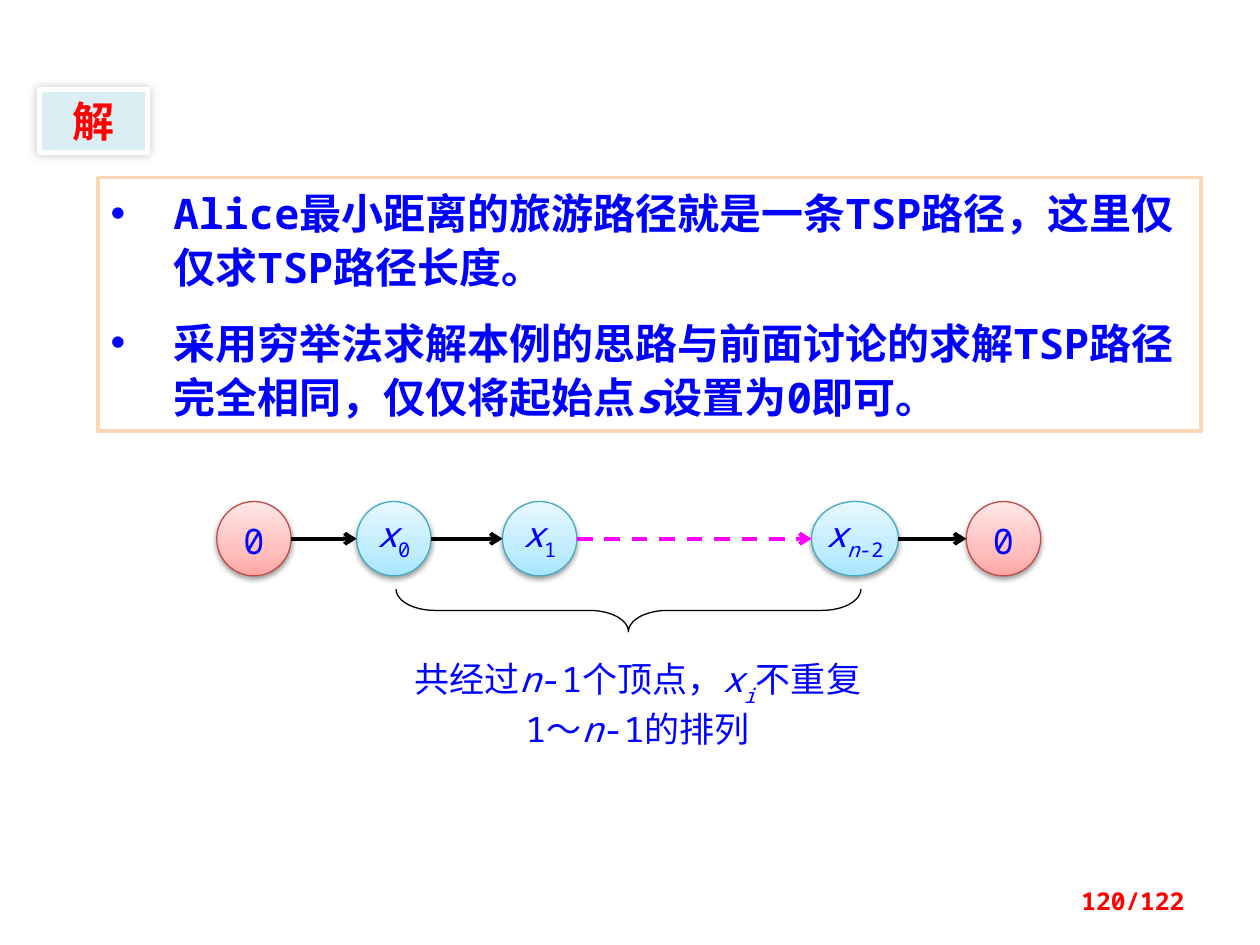
from copy import deepcopy

from lxml.etree import SubElement
from pptx import Presentation
from pptx.dml.color import RGBColor
from pptx.enum.dml import MSO_LINE
from pptx.enum.shapes import MSO_CONNECTOR, MSO_SHAPE
from pptx.enum.text import MSO_ANCHOR, PP_ALIGN
from pptx.oxml.ns import qn
from pptx.util import Cm, Pt

# Content: a run is (text, style), where "i" is italic and "_" is subscript
HEADING = [[("解", "")]]
POINTS = [
    [("Alice最小距离的旅游路径就是一条TSP路径，这里仅仅求TSP路径长度。", "")],
    [("采用穷举法求解本例的思路与前面讨论的求解TSP路径完全相同，仅仅将起始点", ""),
     ("s", "i"), ("设置为0即可。", "")],
]
CAPTION = [
    [("共经过", ""), ("n", "i"), ("-1个顶点，", ""), ("x", "i"), ("i", "i_"), ("不重复", "")],
    [("1～", ""), ("n", "i"), ("-1的排列", "")],
]
PAGE_NUMBER = [[("120/122", "")]]
# Nodes of the path: left, width, kind, runs
NODES = [
    (4.37, 1.5, "end", [("0", "")]),
    (7.19, 1.5, "middle", [("x", "i"), ("0", "_")]),
    (10.13, 1.5, "middle", [("x", "i"), ("1", "_")]),
    (16.36, 1.75, "middle", [("x", "i"), ("n", "i_"), ("-2", "_")]),
    (19.48, 1.5, "end", [("0", "")]),
]
NODE_TOP, NODE_HEIGHT = 10.11, 1.5
DASHED_LINK = 2

THEME = {
    "font": "Noto Sans Mono",
    "large": 24, "medium": 20, "small": 14,
    "text": "0000FF", "accent": "FF0000", "paper": "FFFFFF",
    "label": "DBEEF4", "frame": "FCD5B5",
    "link": "000000", "dashed": "FF00FF",
    "end": (("FFA6A5", "FFC0BF", "FFE7E7"), "BF4C48"),
    "middle": (("A7E6FF", "C1EDFF", "E7F8FF"), "46AAC5"),
    "stops": (0, 0.35, 1),
}


def color(value):
    return RGBColor.from_string(value)


def add_box(slide, kind, box, fill=None, line=None, width=0.75):
    shape = slide.shapes.add_shape(kind, *map(Cm, box))
    shape.shadow.inherit = False
    if fill:
        shape.fill.solid()
        shape.fill.fore_color.rgb = color(fill)
    else:
        shape.fill.background()
    if line:
        shape.line.color.rgb = color(line)
        shape.line.width = Pt(width)
    else:
        shape.line.fill.background()
    return shape


def set_text(shape, paragraphs, size, ink, bold=False, align=PP_ALIGN.CENTER,
             anchor=MSO_ANCHOR.TOP, inset=None):
    frame = shape.text_frame
    frame.word_wrap = True
    frame.vertical_anchor = anchor
    if inset is not None:
        frame.margin_left = frame.margin_right = Cm(inset)
        frame.margin_top = frame.margin_bottom = Cm(inset)
    for index, runs in enumerate(paragraphs):
        paragraph = frame.add_paragraph() if index else frame.paragraphs[0]
        paragraph.alignment = align
        for text, style in runs:
            run = paragraph.add_run()
            run.text = text
            font = run.font
            font.name, font.size, font.bold = THEME["font"], Pt(THEME[size]), bold
            font.italic = "i" in style
            font.color.rgb = color(THEME[ink])
            if "_" in style:
                run._r.get_or_add_rPr().set("baseline", "-30000")
    return frame


def add_shadow(shape, alpha, blur, distance, angle):
    effects = shape._element.spPr.find(qn("a:effectLst"))
    shadow = SubElement(effects, qn("a:outerShdw"), blurRad=str(Pt(blur)),
                        dist=str(Pt(distance)), dir=str(angle * 60000), rotWithShape="0")
    tint = SubElement(shadow, qn("a:srgbClr"), val="000000")
    SubElement(tint, qn("a:alpha"), val=str(alpha * 1000))


def set_gradient(shape, colors):
    shape.fill.gradient()
    shape.fill.gradient_angle = 90
    stop_list = next(shape._element.spPr.iter(qn("a:gsLst")))
    stop_list.append(deepcopy(stop_list[-1]))
    for stop, position, value in zip(shape.fill.gradient_stops, THEME["stops"], colors):
        stop.position = position
        stop.color.rgb = color(value)


def add_bullet(paragraph):
    properties = paragraph._p.get_or_add_pPr()
    properties.set("marL", str(Cm(1.27)))
    properties.set("indent", str(Cm(-1.27)))
    SubElement(properties, qn("a:buFont"), typeface="Arial")
    SubElement(properties, qn("a:buChar"), char="•")


def add_link(slide, start, end, dashed):
    middle = Cm(NODE_TOP + NODE_HEIGHT / 2)
    link = slide.shapes.add_connector(MSO_CONNECTOR.STRAIGHT, Cm(start), middle, Cm(end), middle)
    link.line.color.rgb = color(THEME["dashed" if dashed else "link"])
    link.line.width = Pt(2.25)
    if dashed:
        link.line.dash_style = MSO_LINE.DASH
    SubElement(link.line._get_or_add_ln(), qn("a:tailEnd"), type="arrow")
    SubElement(link._element.spPr, qn("a:effectLst"))


def main():
    presentation = Presentation()
    presentation.slide_width, presentation.slide_height = Cm(25.4), Cm(19.05)
    slide = presentation.slides.add_slide(presentation.slide_layouts[6])

    # Heading label
    label = add_box(slide, MSO_SHAPE.RECTANGLE, (0.79, 1.8, 2.18, 1.27),
                    THEME["label"], THEME["paper"], 3)
    add_shadow(label, 20, 6, 0, 225)
    set_text(label, HEADING, "large", "accent", bold=True)

    # Framed bullet points
    panel = add_box(slide, MSO_SHAPE.RECTANGLE, (1.98, 3.58, 22.23, 5.11),
                    THEME["paper"], THEME["frame"], 2)
    frame = set_text(panel, POINTS, "large", "text", bold=True, align=PP_ALIGN.LEFT)
    for index, paragraph in enumerate(frame.paragraphs):
        paragraph.line_spacing = Pt(31)
        paragraph.space_before = Pt(12 if index else 0)
        add_bullet(paragraph)

    # Caption under the path
    caption = add_box(slide, MSO_SHAPE.RECTANGLE, (7.8, 13.26, 10.11, 2.03), THEME["paper"])
    set_text(caption, CAPTION, "medium", "text", inset=0)

    # Path nodes
    for left, width, kind, runs in NODES:
        gradient, outline = THEME[kind]
        node = add_box(slide, MSO_SHAPE.OVAL, (left, NODE_TOP, width, NODE_HEIGHT), line=outline)
        set_gradient(node, gradient)
        add_shadow(node, 38, 3.1, 1.6, 90)
        frame = set_text(node, [runs], "medium", "text", inset=0)
        if kind == "end":
            frame.paragraphs[0].line_spacing = Pt(28)

    # Links between neighbouring nodes
    for index, (node, following) in enumerate(zip(NODES, NODES[1:])):
        add_link(slide, node[0] + node[1], following[0], index == DASHED_LINK)

    # Brace over the caption
    brace = add_box(slide, MSO_SHAPE.LEFT_BRACE, (12.24, 7.62, 0.86, 9.37), line=THEME["link"])
    brace.rotation = 270
    brace.adjustments[0], brace.adjustments[1] = 0.91, 0.5

    # Page number
    number = slide.shapes.add_textbox(Cm(18.21), Cm(17.65), Cm(5.92), Cm(1.02))
    set_text(number, PAGE_NUMBER, "small", "accent", bold=True,
             align=PP_ALIGN.RIGHT, anchor=MSO_ANCHOR.MIDDLE)

    presentation.save("out.pptx")


if __name__ == "__main__":
    main()
